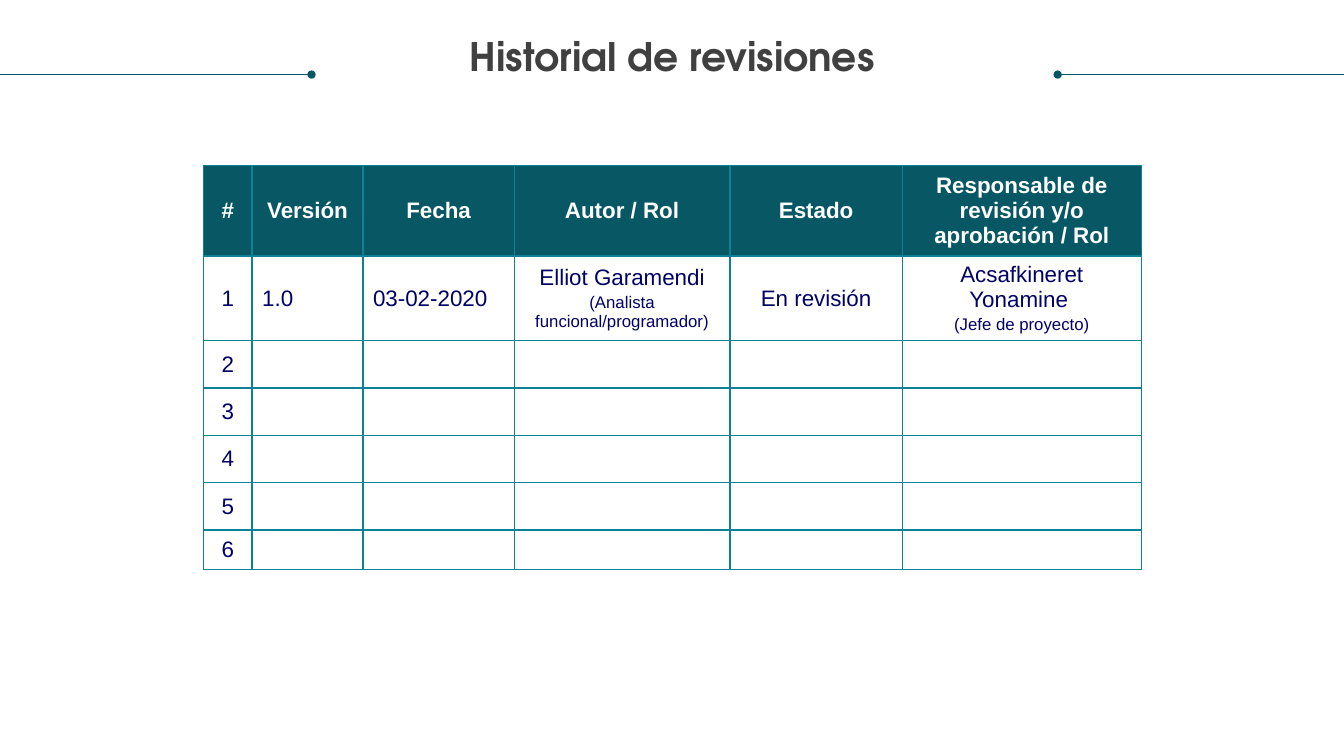
from lxml import etree
from pptx import Presentation
from pptx import util as u
from pptx.dml.color import RGBColor
from pptx.enum import shapes, text
from pptx.oxml import parse_xml
from pptx.oxml.ns import nsdecls, qn

TEAL, BORDER, NAVY, GREY, WHITE = "085764", "0D8295", "000066", "404040", "FFFFFF"


def paint(target, color):
    if hasattr(target, "solid"):
        target.solid()
        target = target.fore_color
    target.rgb = RGBColor.from_string(color)


deck = Presentation()
deck.slide_width, deck.slide_height = u.Inches(13.33), u.Inches(7.5)
page_width = deck.slide_width
slide = deck.slides.add_slide(deck.slide_layouts[6])

column_widths = [0.48, 1.1, 1.5, 2.14, 1.71, 2.37]
row_heights = [0.9, 0.84] + [0.47] * 4 + [0.39]
headings = ["#", "Versión", "Fecha", "Autor / Rol", "Estado",
            "Responsable de revisión y/o aprobación / Rol"]
first_revision = ["1", "1.0", "03-02-2020",
                  "Elliot Garamendi\n(Analista funcional/programador)",
                  "En revisión", "Acsafkineret Yonamine \n(Jefe de proyecto)"]
pending = [[str(number)] + [""] * 5 for number in range(2, 7)]
left_aligned = ("1.0", "03-02-2020")

history = slide.shapes.add_table(
    len(row_heights), len(column_widths), u.Inches(2.02), u.Inches(1.64),
    u.Inches(sum(column_widths)), u.Inches(sum(row_heights))).table
history.horz_banding = False
for column, width in zip(history.columns, column_widths):
    column.width = u.Inches(width)
for row, height in zip(history.rows, row_heights):
    row.height = u.Inches(height)

for r, entries in enumerate([headings, first_revision] + pending):
    for c, entry in enumerate(entries):
        cell = history.cell(r, c)
        cell.text = entry
        cell.vertical_anchor = text.MSO_ANCHOR.MIDDLE
        for side in "LRTB":
            cell._tc.get_or_add_tcPr().append(parse_xml(
                f'<a:ln{side} {nsdecls("a")} w="12700"><a:solidFill>'
                f'<a:srgbClr val="{BORDER}"/></a:solidFill></a:ln{side}>'))
        if r == 0:
            paint(cell.fill, TEAL)
        else:
            cell.fill.background()
        for level, paragraph in enumerate(cell.text_frame.paragraphs):
            if entry not in left_aligned:
                paragraph.alignment = text.PP_ALIGN.CENTER
            if level:
                paragraph.space_before = u.Pt(2.4)
            paragraph.font.name = "Arial"
            paragraph.font.size = u.Pt(12 if level else 16)
            paragraph.font.bold = r == 0
            paint(paragraph.font.color, NAVY if r else WHITE)

title = slide.shapes.add_textbox(
    u.Inches(0.25), u.Inches(0.37), page_width - u.Inches(0.5), u.Inches(0.42)).text_frame
title.word_wrap = True
title.margin_left = title.margin_right = title.margin_top = title.margin_bottom = 0
heading = title.paragraphs[0]
heading.text = "Historial de revisiones"
heading.alignment = text.PP_ALIGN.CENTER
heading.line_spacing = 0.9
heading.font.name = "TeX Gyre Adventor"
heading.font.size = u.Pt(28)
heading.font.bold = True
paint(heading.font.color, GREY)

rule_y = u.Inches(0.74)
for start, end, dotted_end in [(0, u.Inches(3.09), "tailEnd"),
                               (u.Inches(10.49), page_width, "headEnd")]:
    rule = slide.shapes.add_connector(
        shapes.MSO_CONNECTOR.STRAIGHT, start, rule_y, end, rule_y)
    rule.line.width = u.Pt(0.5)
    paint(rule.line.fill, TEAL)
    etree.SubElement(rule.line._get_or_add_ln(), qn(f"a:{dotted_end}"), type="oval")
    etree.SubElement(rule._element.spPr, qn("a:effectLst"))

deck.save("out.pptx")
